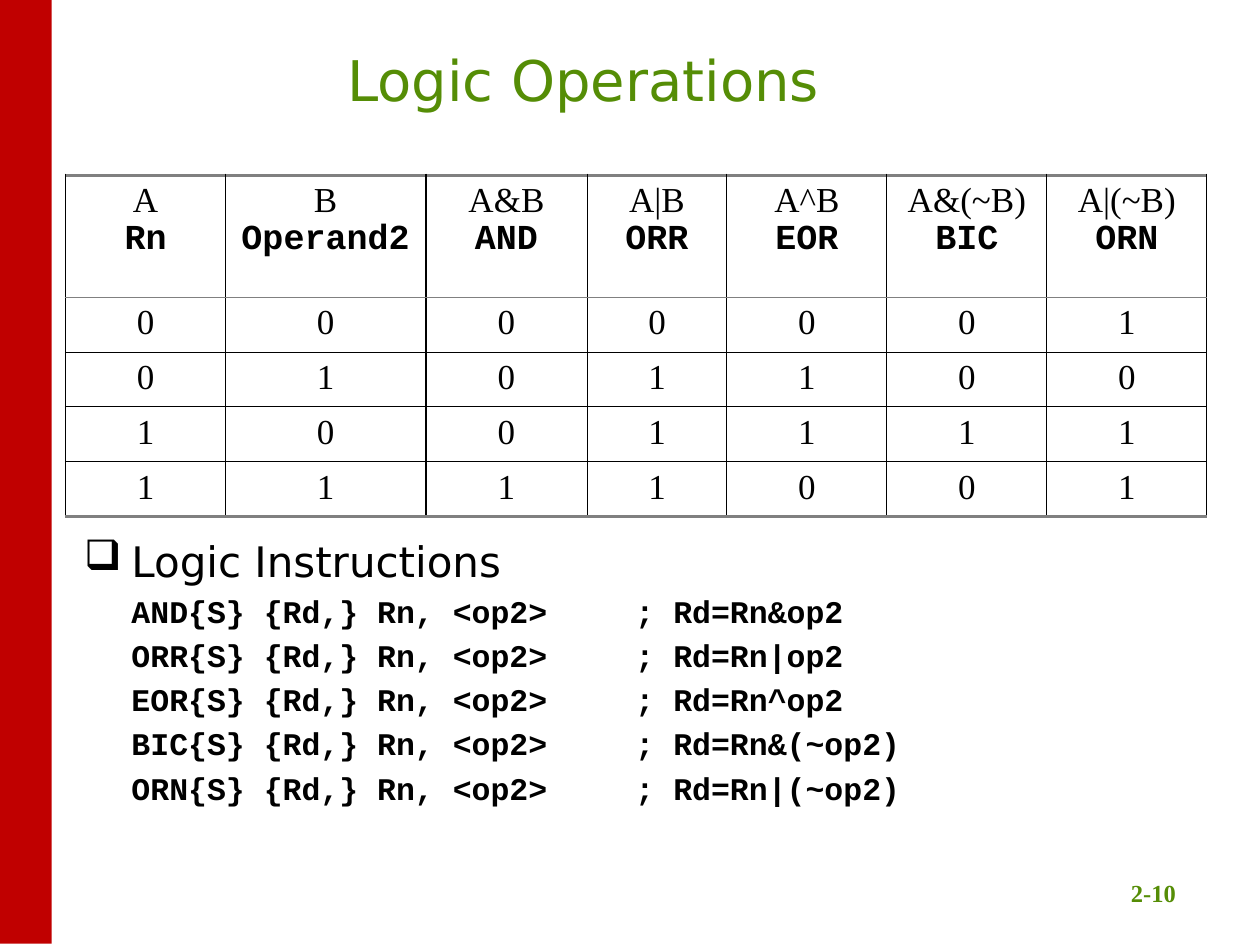
from dataclasses import dataclass

from lxml import etree
from pptx import Presentation
from pptx import util as u
from pptx.dml.color import RGBColor
from pptx.enum import shapes, text
from pptx.oxml.ns import qn

GRID_COLUMNS, GRID_ROWS = 100, 75
UNIT = u.Inches(10) // GRID_COLUMNS


@dataclass(frozen=True)
class Theme:
    accent: str = "558D06"
    band: str = "C00000"
    ink: str = "000000"
    rule: str = "808080"
    heading: str = "DejaVu Sans"
    serif: str = "Times New Roman"
    mono: str = "Courier New"
    title_size: int = 32
    lead_size: int = 24
    table_size: int = 20
    code_size: int = 18
    number_size: int = 14


THEME = Theme()

OPERATIONS = [("A", "Rn"), ("B", "Operand2"), ("A&B", "AND"), ("A|B", "ORR"),
              ("A^B", "EOR"), ("A&(~B)", "BIC"), ("A|(~B)", "ORN")]
TRUTH_ROWS = ["0000001", "0101100", "1001111", "1111001"]
COLUMN_WIDTHS = [12.7, 15.9, 12.8, 11.1, 12.7, 12.7, 12.7]
ROW_HEIGHTS = [9.7] + [4.35] * len(TRUTH_ROWS)
INSTRUCTIONS = {"AND": "Rn&op2", "ORR": "Rn|op2", "EOR": "Rn^op2",
                "BIC": "Rn&(~op2)", "ORN": "Rn|(~op2)"}


def grid(*cells):
    """Turn grid columns or rows into lengths."""
    return [round(cell * UNIT) for cell in cells]


def style(para, font, size, color=THEME.ink, bold=False, align=None):
    para.font.name = font
    para.font.size = u.Pt(size)
    para.font.bold = bold
    para.font.color.rgb = RGBColor.from_string(color)
    para.alignment = align


def add_text_frame(page, box, anchor):
    frame = page.shapes.add_textbox(*grid(*box)).text_frame
    frame.word_wrap = True
    frame.vertical_anchor = anchor
    return frame


def add_line(page, box, anchor, words, *look, **more):
    para = add_text_frame(page, box, anchor).paragraphs[0]
    para.text = words
    style(para, *look, align=text.PP_ALIGN.CENTER, **more)


def add_side_band(page, box):
    band = page.shapes.add_shape(shapes.MSO_SHAPE.RECTANGLE, *grid(*box))
    band.shadow.inherit = False
    band.fill.solid()
    band.fill.fore_color.rgb = RGBColor.from_string(THEME.band)
    band.line.fill.background()


def set_borders(cell, row, column):
    """Grey rules frame the header and the foot; a heavier line ends the operands."""
    horizontal = {0: (THEME.rule, 2), 1: (THEME.rule, 1),
                  len(ROW_HEIGHTS): (THEME.rule, 2)}
    vertical = {2: (THEME.ink, 1)}
    thin = (THEME.ink, 0.75)
    edges = {"lnL": vertical.get(column, thin), "lnR": vertical.get(column + 1, thin),
             "lnT": horizontal.get(row, thin), "lnB": horizontal.get(row + 1, thin)}
    properties = cell._tc.get_or_add_tcPr()
    for position, (tag, (color, width)) in enumerate(edges.items()):
        line = etree.Element(qn(f"a:{tag}"), w=str(u.Pt(width)))
        fill = etree.SubElement(line, qn("a:solidFill"))
        etree.SubElement(fill, qn("a:srgbClr"), val=color)
        properties.insert(position, line)


def fill_cell(cell, lines):
    """Write a cell from (words, font, bold) lines."""
    cell.fill.background()
    cell.margin_left = cell.margin_right = 0
    frame = cell.text_frame
    frame.text = "\n".join(words for words, _, _ in lines)
    for para, (_, font, bold) in zip(frame.paragraphs, lines):
        style(para, font, THEME.table_size, bold=bold, align=text.PP_ALIGN.CENTER)


def add_truth_table(page, box):
    rows = [[[(formula, THEME.serif, False), (name, THEME.mono, True)]
             for formula, name in OPERATIONS]]
    rows += [[[(bit, THEME.serif, False)] for bit in bits] for bits in TRUTH_ROWS]
    table = page.shapes.add_table(len(rows), len(OPERATIONS), *grid(*box)).table
    table.first_row = table.horz_banding = False
    for column, width in zip(table.columns, grid(*COLUMN_WIDTHS)):
        column.width = width
    for row, height in zip(table.rows, grid(*ROW_HEIGHTS)):
        row.height = height
    for r, row in enumerate(rows):
        for c, lines in enumerate(row):
            fill_cell(table.cell(r, c), lines)
            set_borders(table.cell(r, c), r, c)


def hang(para, bullet=None):
    """Give a hanging indent, one-inch tabs and an optional bullet."""
    properties = para._p.get_or_add_pPr()
    indent, = grid(3.75)
    properties.set("marL", str(indent))
    properties.set("indent", str(-indent))
    properties.set("defTabSz", str(u.Inches(1)))
    if bullet:
        color = etree.Element(qn("a:buClr"))
        etree.SubElement(color, qn("a:srgbClr"), val=THEME.ink)
        mark = etree.Element(qn("a:buChar"), char=bullet)
        first_run = properties.find(qn("a:defRPr"))
        first_run.addprevious(color)
        first_run.addprevious(mark)


def add_instructions(page, box):
    frame = add_text_frame(page, box, text.MSO_ANCHOR.TOP)
    lead = frame.paragraphs[0]
    lead.text = "Logic Instructions"
    style(lead, THEME.heading, THEME.lead_size)
    hang(lead, "❑")
    for name, result in INSTRUCTIONS.items():
        para = frame.add_paragraph()
        para.text = f"\t{name}{{S}} {{Rd,}} Rn, <op2>\t; Rd={result}"
        style(para, THEME.mono, THEME.code_size, bold=True)
        para.space_before = u.Pt(3.6)
        hang(para)


def add_logic_slide(deck):
    page = deck.slides.add_slide(deck.slide_layouts[6])
    add_line(page, (85.7, 67.9, 11.7, 4.6), text.MSO_ANCHOR.BOTTOM, "2-10",
             THEME.serif, THEME.number_size, THEME.accent, bold=True)
    add_side_band(page, (-0.1, -0.1, 4.2, GRID_ROWS))
    add_line(page, (4.2, 2.5, 84.2, 7.5), text.MSO_ANCHOR.MIDDLE, "Logic Operations",
             THEME.heading, THEME.title_size, THEME.accent)
    add_instructions(page, (5.7, 42, 86.7, 23.8))
    add_truth_table(page, (5.2, 13.9, sum(COLUMN_WIDTHS), sum(ROW_HEIGHTS)))


def main():
    deck = Presentation()
    deck.slide_width, deck.slide_height = grid(GRID_COLUMNS, GRID_ROWS)
    add_logic_slide(deck)
    deck.save("out.pptx")


if __name__ == "__main__":
    main()
